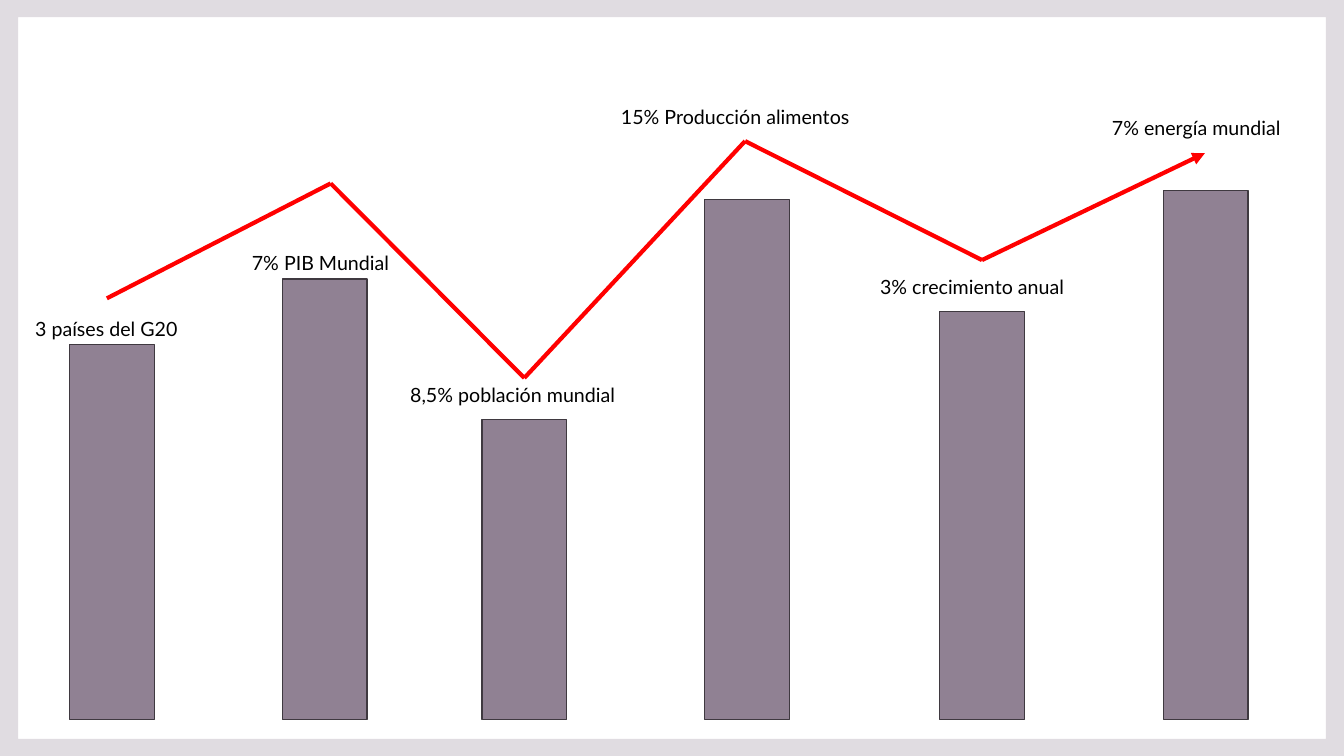
from dataclasses import dataclass
from itertools import pairwise

from lxml import etree
from pptx import Presentation
from pptx.dml.color import RGBColor
from pptx.enum.shapes import MSO_CONNECTOR, MSO_SHAPE
from pptx.enum.text import MSO_AUTO_SIZE
from pptx.oxml.ns import qn
from pptx.util import Emu, Pt

RECTANGLE = MSO_SHAPE.RECTANGLE
STRAIGHT = MSO_CONNECTOR.STRAIGHT
FIT_SHAPE = MSO_AUTO_SIZE.SHAPE_TO_FIT_TEXT

PX = 9144  # EMU in one px, 100 px to the inch
BLANK_LAYOUT = 6


@dataclass(frozen=True)
class Theme:
    font: str = "Lato"
    label_size: int = 14
    outline_width: int = 1
    trend_width: int = 3
    text: RGBColor = RGBColor.from_string("000000")
    paper: RGBColor = RGBColor.from_string("FFFFFF")
    frame: RGBColor = RGBColor.from_string("E0DCE1")
    bar: RGBColor = RGBColor.from_string("908193")
    outline: RGBColor = RGBColor.from_string("3F3940")
    trend: RGBColor = RGBColor.from_string("FF0000")


@dataclass(frozen=True)
class Box:
    left: int
    top: int
    width: int
    height: int

    def within(self, left, top, width, height):
        return Box(self.left + left, self.top + top, width, height)

    def inset(self, side, end):
        return self.within(side, end, self.width - 2 * side, self.height - 2 * end)

    def corners(self):
        right, bottom = self.left + self.width, self.top + self.height
        return [(self.left, self.top), (right, self.top),
                (right, bottom), (self.left, bottom)]

    def emu(self):
        return [Emu(value * PX)
                for value in (self.left, self.top, self.width, self.height)]


THEME = Theme()
PAGE = Box(0, 0, 1333, 750)
CHART = Box(25, 99, 1271, 615)
BAR_WIDTH = 84
LABEL_HEIGHT = 34

# Label, bar left and height, label left, top and width, all inside CHART
INDICATORS = [
    ("3 países del G20", 44, 372, 0, 210, 171),
    ("7% PIB Mundial", 255, 437, 215, 145, 163),
    ("8,5% población mundial", 453, 298, 372, 276, 244),
    ("15% Producción alimentos", 674, 516, 581, 0, 268),
    ("3% crecimiento anual", 907, 405, 838, 169, 222),
    ("7% energía mundial", 1129, 525, 1068, 11, 203),
]
TREND_POINTS = [(81, 197), (303, 83), (495, 276), (714, 41), (949, 159), (1170, 53)]


def add_text(slide, box, text, *, font, size, color):
    text_box = slide.shapes.add_textbox(*box.emu())
    frame = text_box.text_frame
    frame.word_wrap = False
    frame.auto_size = FIT_SHAPE
    span = frame.paragraphs[0].add_run()
    span.text = text
    span.font.name = font
    span.font.size = Pt(size)
    span.font.color.rgb = color


def add_page_frame(slide, box):
    """Draw the border as one outline with a rectangular opening."""
    outer = box.corners()
    opening = box.inset(18, 17).corners()[::-1]
    builder = slide.shapes.build_freeform(*outer[0], scale=PX)
    builder.add_line_segments(outer[1:], close=True)
    builder.move_to(*opening[0])
    builder.add_line_segments(opening[1:], close=True)
    border = builder.convert_to_shape()
    border.shadow.inherit = False
    border.fill.solid()
    border.fill.fore_color.rgb = THEME.frame
    border.line.fill.background()


def add_bar(slide, box):
    bar = slide.shapes.add_shape(RECTANGLE, *box.emu())
    bar.shadow.inherit = False
    bar.fill.solid()
    bar.fill.fore_color.rgb = THEME.bar
    bar.line.color.rgb = THEME.outline
    bar.line.width = Pt(THEME.outline_width)


def add_indicators(slide, box):
    for text, bar_left, height, label_left, label_top, label_width in INDICATORS:
        add_bar(slide, box.within(bar_left, box.height - height, BAR_WIDTH, height))
        add_text(slide, box.within(label_left, label_top, label_width, LABEL_HEIGHT),
                 text, font=THEME.font, size=THEME.label_size, color=THEME.text)


def add_trend(slide, box):
    """Join the trend points and put an arrowhead on the last segment."""
    points = [(Emu((box.left + x) * PX), Emu((box.top + y) * PX))
              for x, y in TREND_POINTS]
    for start, end in pairwise(points):
        segment = slide.shapes.add_connector(STRAIGHT, *start, *end)
        segment.line.color.rgb = THEME.trend
        segment.line.width = Pt(THEME.trend_width)
        properties = segment._element.spPr
        etree.SubElement(properties, qn("a:effectLst"))
    etree.SubElement(properties.find(qn("a:ln")), qn("a:tailEnd"), type="triangle")


def build_slide(deck):
    slide = deck.slides.add_slide(deck.slide_layouts[BLANK_LAYOUT])
    slide.background.fill.solid()
    slide.background.fill.fore_color.rgb = THEME.paper
    add_page_frame(slide, PAGE)
    add_indicators(slide, CHART)
    add_trend(slide, CHART)


def main():
    deck = Presentation()
    deck.slide_width = Emu(PAGE.width * PX)
    deck.slide_height = Emu(PAGE.height * PX)
    build_slide(deck)
    deck.save("out.pptx")


if __name__ == "__main__":
    main()
